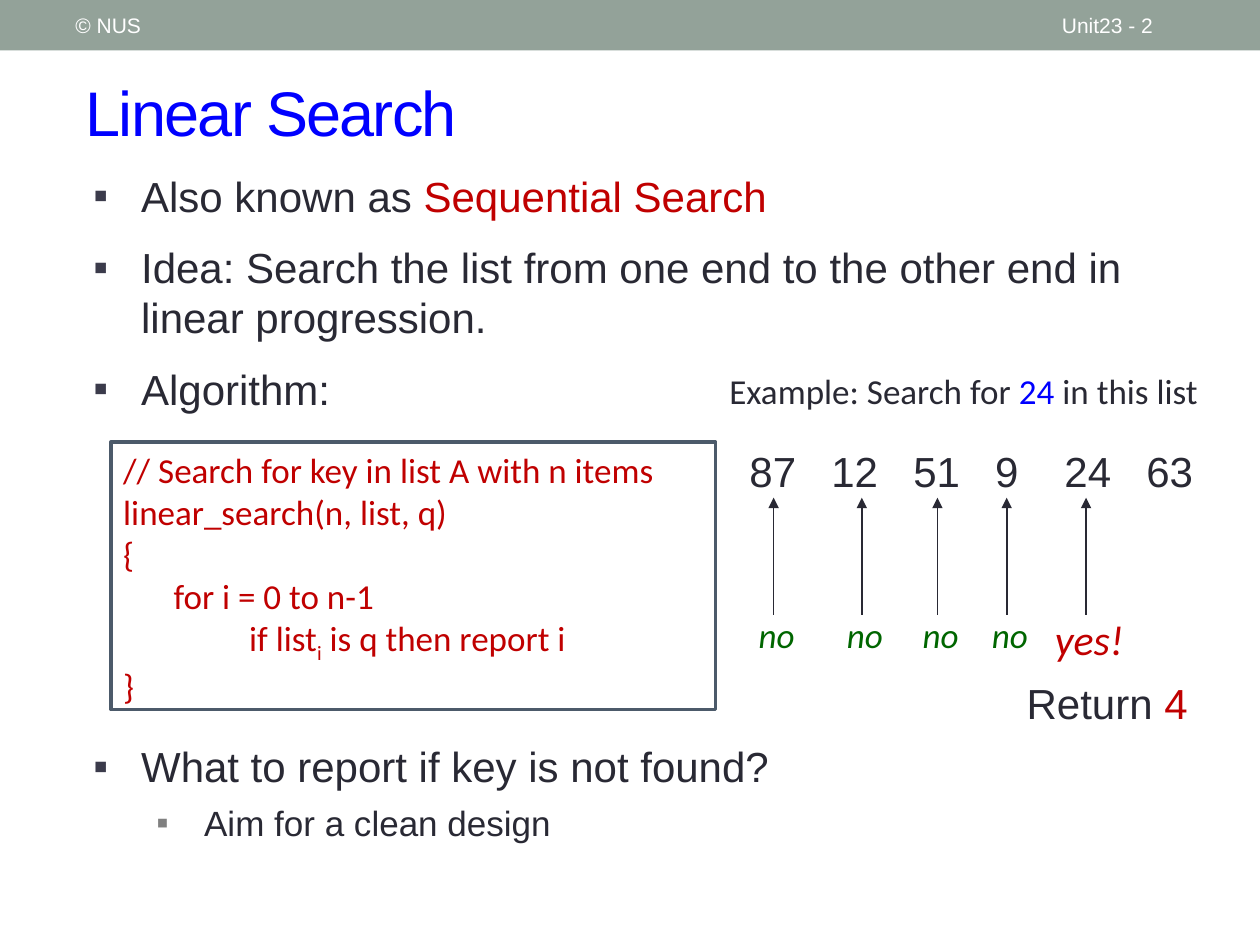
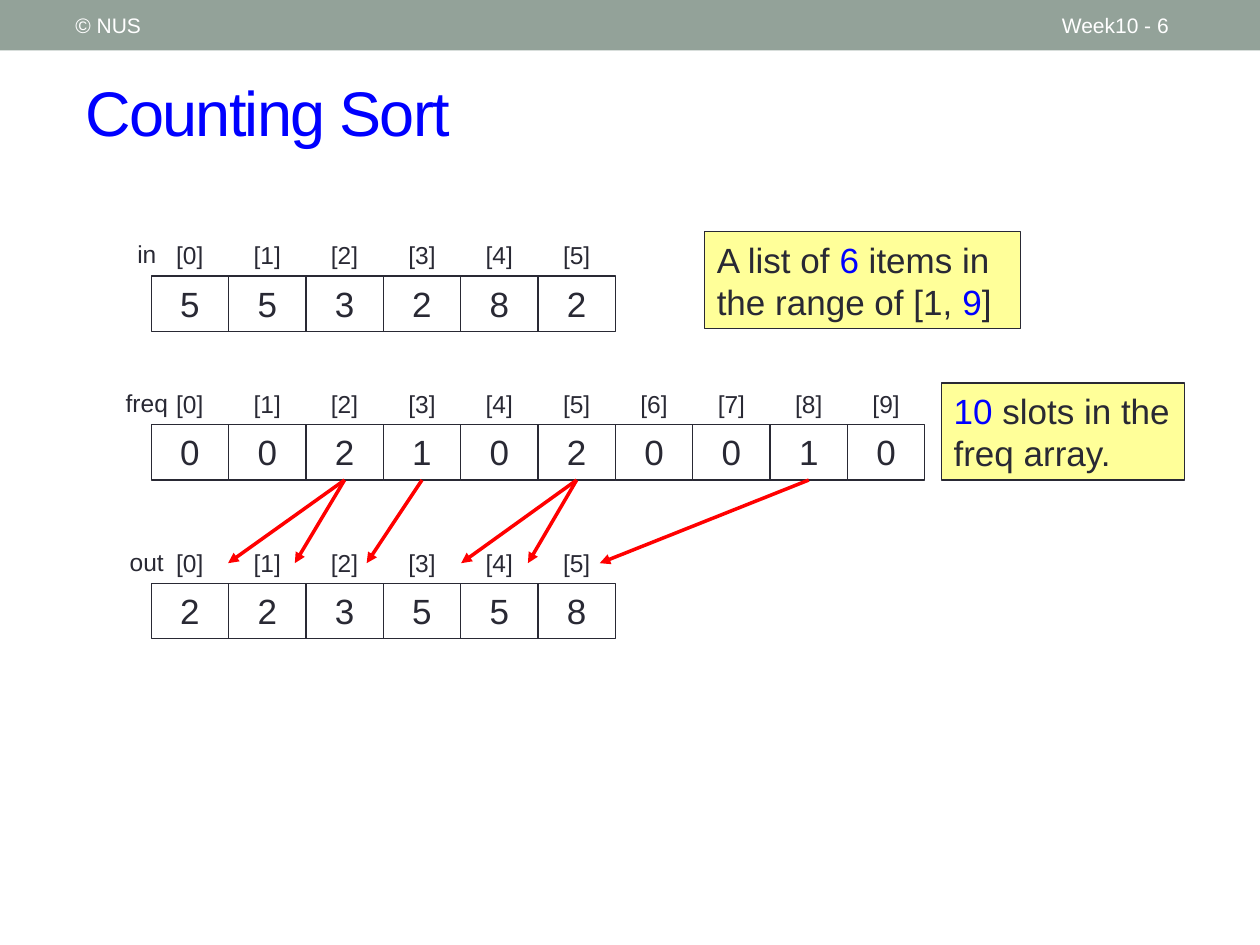
import pptx
import pptx.dml.color
import pptx.enum.shapes
import pptx.enum.text
import pptx.oxml.ns
import pptx.util
from dataclasses import dataclass
from lxml import etree

Inches = pptx.util.Inches
Pt = pptx.util.Pt
qn = pptx.oxml.ns.qn
Align = pptx.enum.text.PP_ALIGN
Anchor = pptx.enum.text.MSO_ANCHOR

HUES = {
    "band": "93A299",
    "ink": "292934",
    "blue": "0000FF",
    "red": "C00000",
    "green": "006600",
    "white": "FFFFFF",
    "note": "FFFF99",
    "frame": "4C5A6A",
    "arrow": "FF0000",
    "dark": "3B3B4B",
    "grey": "808080",
}
START = 1.2
PITCH = (7.34 - START) / 10
CELL = 0.44


@dataclass(frozen=True)
class Box:
    left: float
    top: float
    width: float
    height: float

    def lengths(self) -> list:
        return [Inches(n) for n in (self.left, self.top, self.width, self.height)]


@dataclass(frozen=True)
class Style:
    size: int
    font: str = "Arial"
    slant: bool = False
    align: Align = Align.LEFT
    anchor: Anchor = Anchor.TOP
    stops: tuple = ()


@dataclass(frozen=True)
class Part:
    text: str
    hue: str = "ink"
    base: int = 0


@dataclass(frozen=True)
class Level:
    depth: int
    size: int
    indent: float
    space: int
    hue: str


@dataclass(frozen=True)
class Row:
    name: str
    top: float
    values: str


HEAD = Style(12, anchor=Anchor.MIDDLE)
TITLE = Style(36, anchor=Anchor.MIDDLE)
CODE = Style(20, "Calibri", stops=(0.4, 1.0))
PLAIN = Style(20, "Calibri")
LARGE = Style(24)
LIST = Style(24, stops=(0.65, 1.3, 1.95, 2.5, 3.15))
VALUE = Style(20, align=Align.CENTER)
INDEX = Style(14, align=Align.CENTER)
NOTE = Style(20)
OUTER = Level(0, 24, 0.38, 12, "dark")
INNER = Level(1, 20, 0.88, 6, "grey")


def tint(hue: str) -> pptx.dml.color.RGBColor:
    return pptx.dml.color.RGBColor.from_string(HUES[hue])


def add_child(parent, tag: str, **attrs):
    return etree.SubElement(parent, qn(tag), **attrs)


def set_parts(para, parts: list, style: Style) -> None:
    para.alignment = style.align
    if style.stops:
        tabs = add_child(para._p.get_or_add_pPr(), "a:tabLst")
        for stop in style.stops:
            add_child(tabs, "a:tab", pos=str(Inches(stop)), algn="l")
    para.text = parts[0].text
    for part in parts[1:]:
        para.add_run().text = part.text
    for run, part in zip(para.runs, parts):
        run.font.name = style.font
        run.font.size = Pt(style.size)
        run.font.italic = style.slant
        run.font.color.rgb = tint(part.hue)
        if part.base:
            run._r.get_or_add_rPr().set("baseline", str(part.base * 1000))


def fill_frame(frame, lines: list, style: Style) -> None:
    frame.word_wrap = True
    frame.auto_size = pptx.enum.text.MSO_AUTO_SIZE.NONE
    frame.vertical_anchor = style.anchor
    for i, parts in enumerate(lines):
        para = frame.add_paragraph() if i else frame.paragraphs[0]
        set_parts(para, parts, style)


def add_text(slide, box: Box, style: Style, *parts: Part) -> None:
    frame = slide.shapes.add_textbox(*box.lengths()).text_frame
    fill_frame(frame, [parts], style)


def add_rect(slide, box: Box, fill: str = "", edge: str = "", weight: float = 0.75):
    rect = slide.shapes.add_shape(pptx.enum.shapes.MSO_SHAPE.RECTANGLE, *box.lengths())
    rect.shadow.inherit = False
    if fill:
        rect.fill.solid()
        rect.fill.fore_color.rgb = tint(fill)
    else:
        rect.fill.background()
    if edge:
        rect.line.color.rgb = tint(edge)
        rect.line.width = Pt(weight)
    else:
        rect.line.fill.background()
    return rect


def add_note(slide, box: Box, *parts: Part) -> None:
    rect = add_rect(slide, box, "note", "ink")
    fill_frame(rect.text_frame, [parts], NOTE)


def add_arrow(slide, start: tuple, end: tuple, hue: str, weight: float) -> None:
    ends = [Inches(n) for n in (*start, *end)]
    line = slide.shapes.add_connector(pptx.enum.shapes.MSO_CONNECTOR.STRAIGHT, *ends)
    line.line.color.rgb = tint(hue)
    line.line.width = Pt(weight)
    add_child(line.line._get_or_add_ln(), "a:tailEnd", type="triangle")
    add_child(line._element.spPr, "a:effectLst")


def place(holder, box: Box) -> None:
    holder.left, holder.top, holder.width, holder.height = box.lengths()


def add_list(holder, box: Box, items: list) -> None:
    place(holder, box)
    frame = holder.text_frame
    frame.auto_size = pptx.enum.text.MSO_AUTO_SIZE.NONE
    for i, (level, parts) in enumerate(items):
        para = frame.add_paragraph() if i else frame.paragraphs[0]
        para.level = level.depth
        para.space_before = Pt(level.space if i else 0)
        props = para._p.get_or_add_pPr()
        props.set("marL", str(Inches(level.indent)))
        props.set("indent", str(Inches(-0.38)))
        shade = add_child(props, "a:buClr")
        add_child(shade, "a:srgbClr", val=HUES[level.hue])
        add_child(props, "a:buFont", typeface="Arial")
        add_child(props, "a:buChar", char="▪")
        set_parts(para, parts, Style(level.size))


def add_slide(deck, layout: int, title: str, page: str):
    slide = deck.slides.add_slide(deck.slide_layouts[layout])
    add_rect(slide, Box(0, 0, 10, 0.4), "band")
    holder = slide.shapes.title
    place(holder, Box(0.58, 0.42, 9.17, 0.92))
    fill_frame(holder.text_frame, [[Part(title, "blue")]], TITLE)
    for run in holder.text_frame.paragraphs[0].runs:
        run._r.get_or_add_rPr().set("spc", "-100")
    add_text(slide, Box(8.33, 0.02, 1.17, 0.36), HEAD, Part(page, "white"))
    add_text(slide, Box(0.5, 0.02, 3.17, 0.36), HEAD, Part("© NUS", "white"))
    return slide


def add_row(slide, row: Row) -> None:
    for i, value in enumerate(row.values):
        left = START + i * PITCH
        rect = add_rect(slide, Box(left, row.top, PITCH, CELL), edge="ink")
        fill_frame(rect.text_frame, [[Part(value)]], VALUE)
        add_text(slide, Box(left, row.top - 0.33, PITCH, 0.34), INDEX, Part(f"[{i}]"))
    add_text(slide, Box(0.79, row.top - 0.34, 0.75, 0.34), INDEX, Part(row.name))


def draw_search(deck) -> None:
    slide = add_slide(deck, 3, "Linear Search", "Unit23 - 2")
    idea = "Idea: Search the list from one end to the other end in linear progression."
    add_list(slide.placeholders[1], Box(0.64, 1.3, 9, 2.21), [
        (OUTER, [Part("Also known as "), Part("Sequential Search", "red")]),
        (OUTER, [Part(idea)]),
        (OUTER, [Part("Algorithm:")]),
    ])
    add_list(slide.placeholders[2], Box(0.64, 5.83, 9, 1.11), [
        (OUTER, [Part("What to report if key is not found?")]),
        (INNER, [Part("Aim for a clean design")]),
    ])
    code = add_rect(slide, Box(0.88, 3.51, 4.8, 2.12), "white", "frame", 2.08)
    fill_frame(code.text_frame, [
        [Part("// Search for key in list A with n items", "red")],
        [Part("linear_search(n, list, q)", "red")],
        [Part("{", "red")],
        [Part("\tfor i = 0 to n-1", "red")],
        [Part("\t\tif list", "red"), Part("i", "red", -25),
         Part(" is q then report i", "red")],
        [Part("}", "red")],
    ], CODE)
    add_text(slide, Box(5.69, 2.88, 4.21, 0.44), PLAIN,
             Part("Example: Search for "), Part("24", "blue"), Part(" in this list"))
    add_text(slide, Box(5.85, 3.49, 3.86, 0.51), LIST, Part("87\t12\t51\t9\t24\t63"))
    tests = [(x, "no", "green", 20) for x in (6.14, 6.84, 7.44, 7.99)]
    for x, word, hue, size in tests + [(8.62, "yes!", "red", 24)]:
        add_arrow(slide, (x, 4.88), (x, 3.95), "ink", 1)
        style = Style(size, "Calibri", True, Align.CENTER)
        add_text(slide, Box(x - 0.39, 4.82, 0.83, 0.5), style, Part(word, hue))
    add_text(slide, Box(8.05, 5.33, 1.66, 0.5), LARGE, Part("Return "), Part("4", "red"))


def draw_sort(deck) -> None:
    slide = add_slide(deck, 5, "Counting Sort", "Week10 - 6")
    freq = Row("freq", 3.37, "0021020010")
    for row in (Row("in", 2.19, "553282"), freq, Row("out", 4.63, "223558")):
        add_row(slide, row)
    moves = [(2, 1.81), (2, 2.34), (3, 2.91), (5, 3.66), (5, 4.19), (8, 4.76)]
    for slot, end in moves:
        start = START + (slot + 0.5) * PITCH
        add_arrow(slide, (start, freq.top + CELL), (end, 4.47), "arrow", 2)
    add_note(slide, Box(5.59, 1.84, 2.51, 0.77),
             Part("A list of "), Part("6", "blue"), Part(" items in the range of [1, "),
             Part("9", "blue"), Part("]"))
    add_note(slide, Box(7.47, 3.04, 1.93, 0.77),
             Part("10", "blue"), Part(" slots in the freq array."))


def main() -> None:
    deck = pptx.Presentation()
    deck.slide_width, deck.slide_height = Inches(10), Inches(7.5)
    draw_search(deck)
    draw_sort(deck)
    deck.save("out.pptx")


if __name__ == "__main__":
    main()
